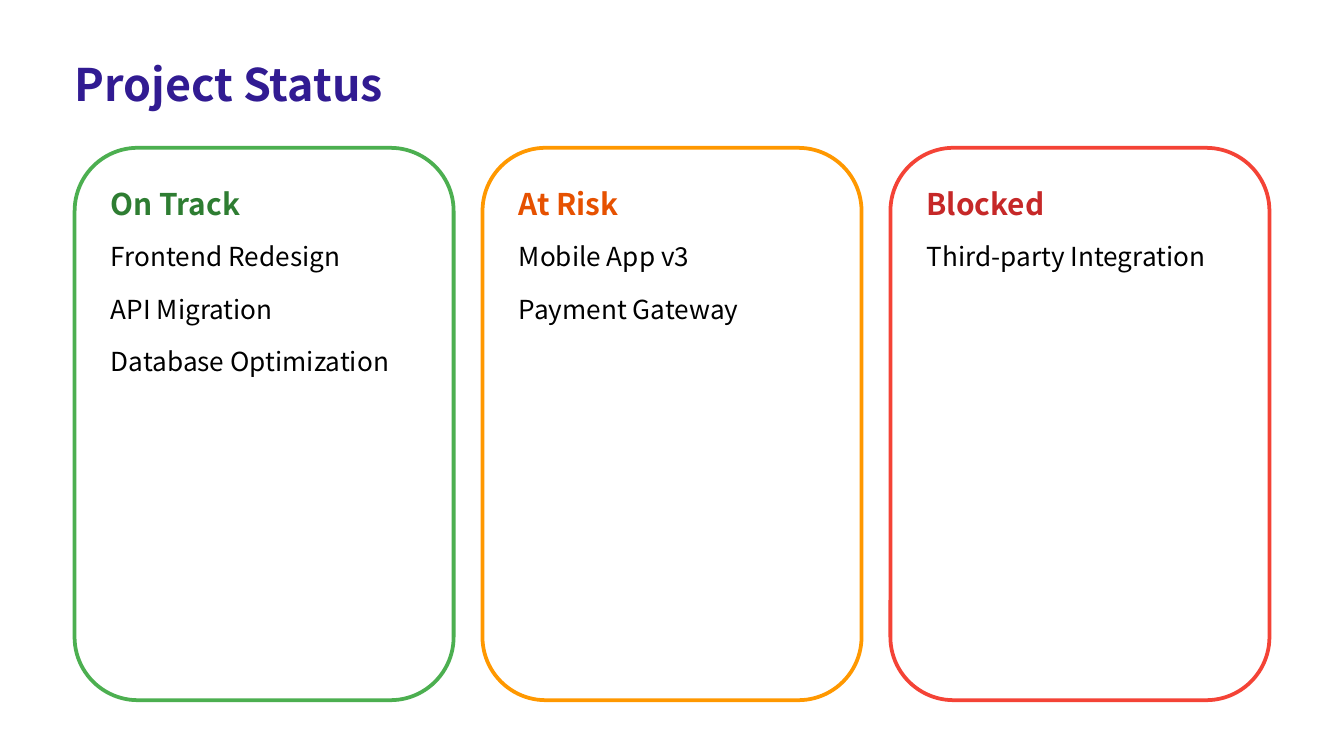
from pptx import Presentation
from pptx.dml.color import RGBColor
from pptx.enum.shapes import MSO_SHAPE as Preset
from pptx.enum.text import MSO_ANCHOR as Anchor, PP_ALIGN as Align
from pptx.util import Inches, Pt

# Content: heading, border colour, heading colour, projects
TITLE = "Project Status"
STATUSES = [
    ("On Track", "4CAF50", "2E7D32",
     ["Frontend Redesign", "API Migration", "Database Optimization"]),
    ("At Risk", "FF9800", "E65100", ["Mobile App v3", "Payment Gateway"]),
    ("Blocked", "F44336", "C62828", ["Third-party Integration"]),
]
FONT = "Noto Sans CJK SC"

# Layout in inches, on a 16:9 slide
SLIDE_WIDTH = 10
SLIDE_HEIGHT = SLIDE_WIDTH * 9 / 16
CONTENT_WIDTH = 8.89
MARGIN = (SLIDE_WIDTH - CONTENT_WIDTH) / 2
CARD_TOP, CARD_WIDTH, CARD_HEIGHT = 1.1, 2.82, 4.11
CARD_STEP = (CONTENT_WIDTH - CARD_WIDTH) / (len(STATUSES) - 1)
PADDING = 0.27
TEXT_WIDTH = CARD_WIDTH - 2 * PADDING
HEADING_TOP, HEADING_HEIGHT = 1.38, 0.32
PROJECT_TOP, PROJECT_STEP, PROJECT_HEIGHT = 1.79, 0.39, 0.29


def rgb(code):
    return RGBColor.from_string(code)


def write(holder, text, size=14, color="000000", bold=False):
    frame = holder.text_frame
    frame.margin_left = frame.margin_right = 0
    frame.margin_top = frame.margin_bottom = 0
    frame.word_wrap = True
    frame.vertical_anchor = Anchor.TOP
    paragraph = frame.paragraphs[0]
    paragraph.alignment = Align.LEFT
    run = paragraph.add_run()
    run.text = text
    run.font.name = FONT
    run.font.size = Pt(size)
    run.font.bold = bold
    run.font.color.rgb = rgb(color)


def add_label(card, left, top, height, text, **style):
    label = card.shapes.add_textbox(
        Inches(left), Inches(top), Inches(TEXT_WIDTH), Inches(height))
    write(label, text, **style)


def add_card(slide, left, heading, border, heading_color, projects):
    card = slide.shapes.add_group_shape()
    panel = card.shapes.add_shape(
        Preset.ROUNDED_RECTANGLE, Inches(left), Inches(CARD_TOP),
        Inches(CARD_WIDTH), Inches(CARD_HEIGHT))
    panel.shadow.inherit = False
    panel.fill.solid()
    panel.fill.fore_color.rgb = rgb("FFFFFF")
    panel.line.color.rgb = rgb(border)
    panel.line.width = Pt(2)

    text_left = left + PADDING
    add_label(card, text_left, HEADING_TOP, HEADING_HEIGHT, heading,
              size=16, color=heading_color, bold=True)
    for row, project in enumerate(projects):
        add_label(card, text_left, PROJECT_TOP + row * PROJECT_STEP,
                  PROJECT_HEIGHT, project)


def main():
    deck = Presentation()
    deck.slide_width = Inches(SLIDE_WIDTH)
    deck.slide_height = Inches(SLIDE_HEIGHT)
    slide = deck.slides.add_slide(deck.slide_layouts[5])
    slide.background.fill.solid()
    slide.background.fill.fore_color.rgb = rgb("FFFFFF")

    # Title
    title = slide.shapes.title
    title.left, title.top = Inches(MARGIN), Inches(0.42)
    title.width, title.height = Inches(CONTENT_WIDTH), Inches(0.47)
    write(title, TITLE, size=24, color="311B92", bold=True)

    # Status cards
    for column, status in enumerate(STATUSES):
        add_card(slide, MARGIN + column * CARD_STEP, *status)

    deck.save("out.pptx")


if __name__ == "__main__":
    main()
